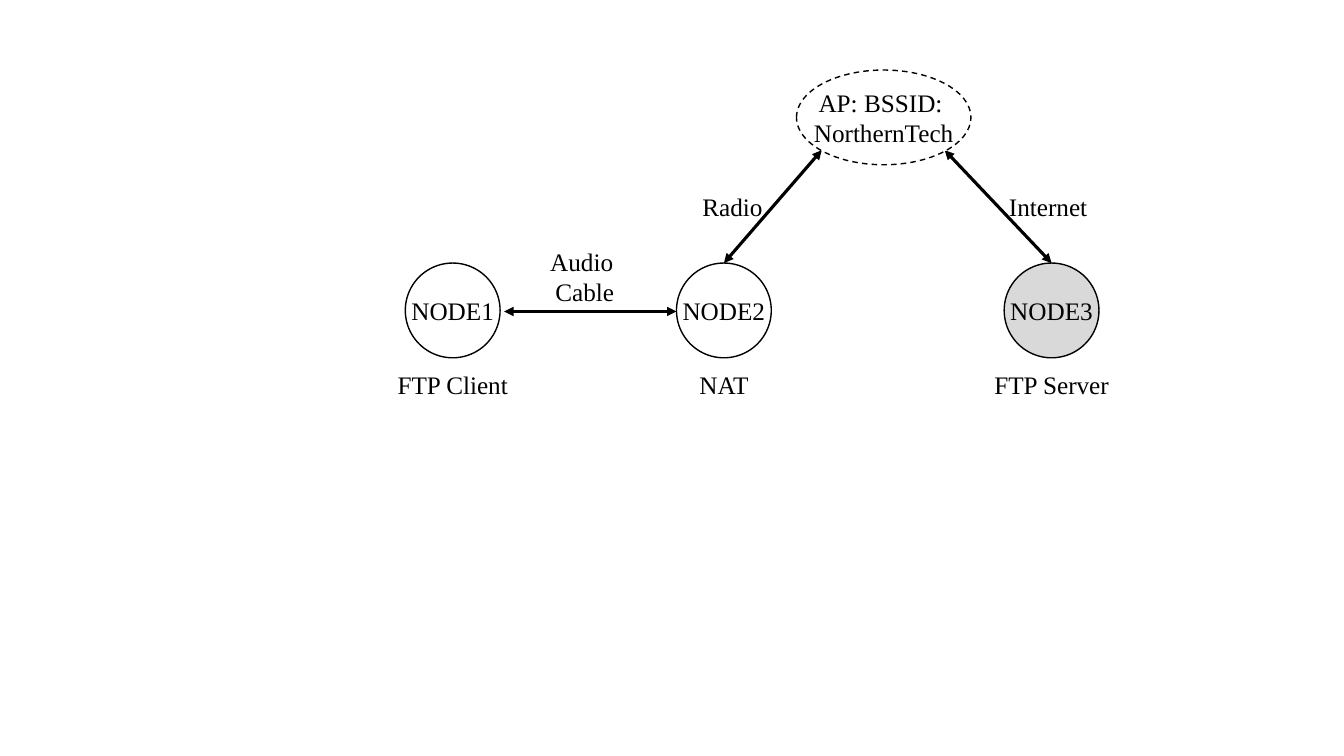
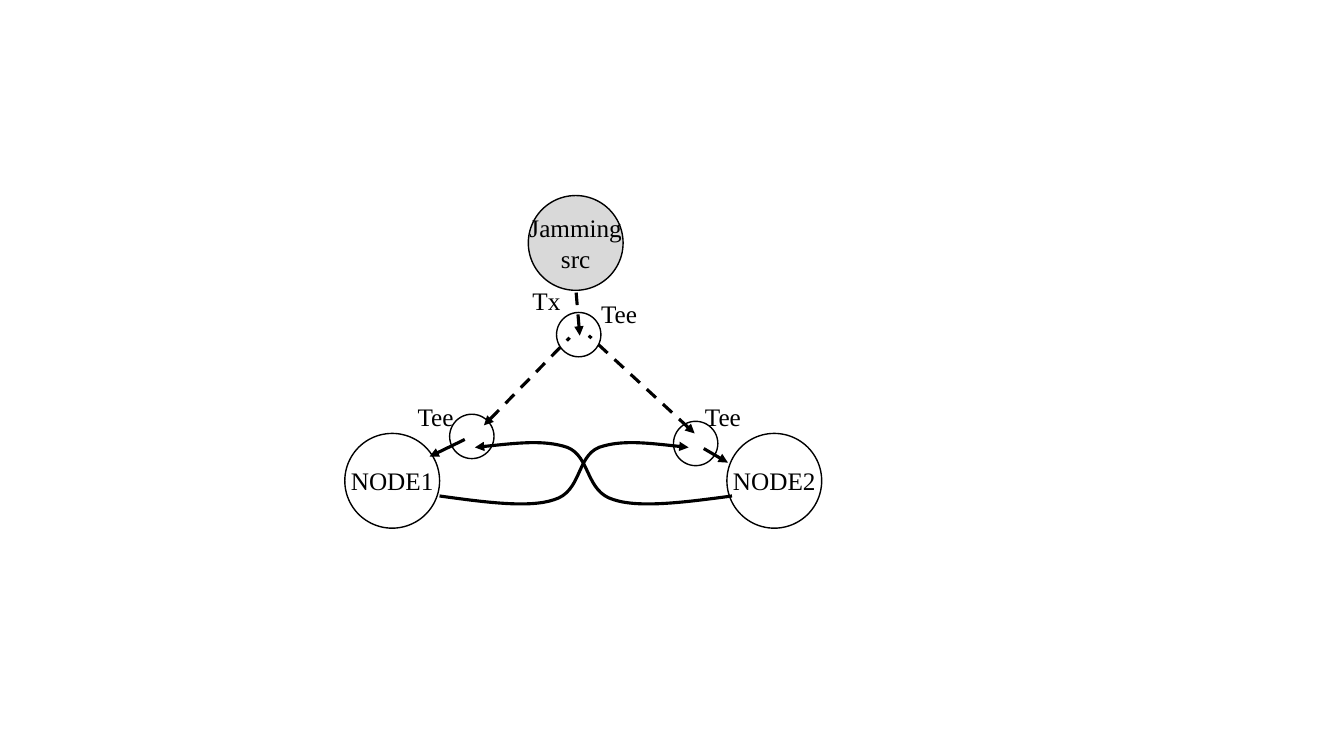
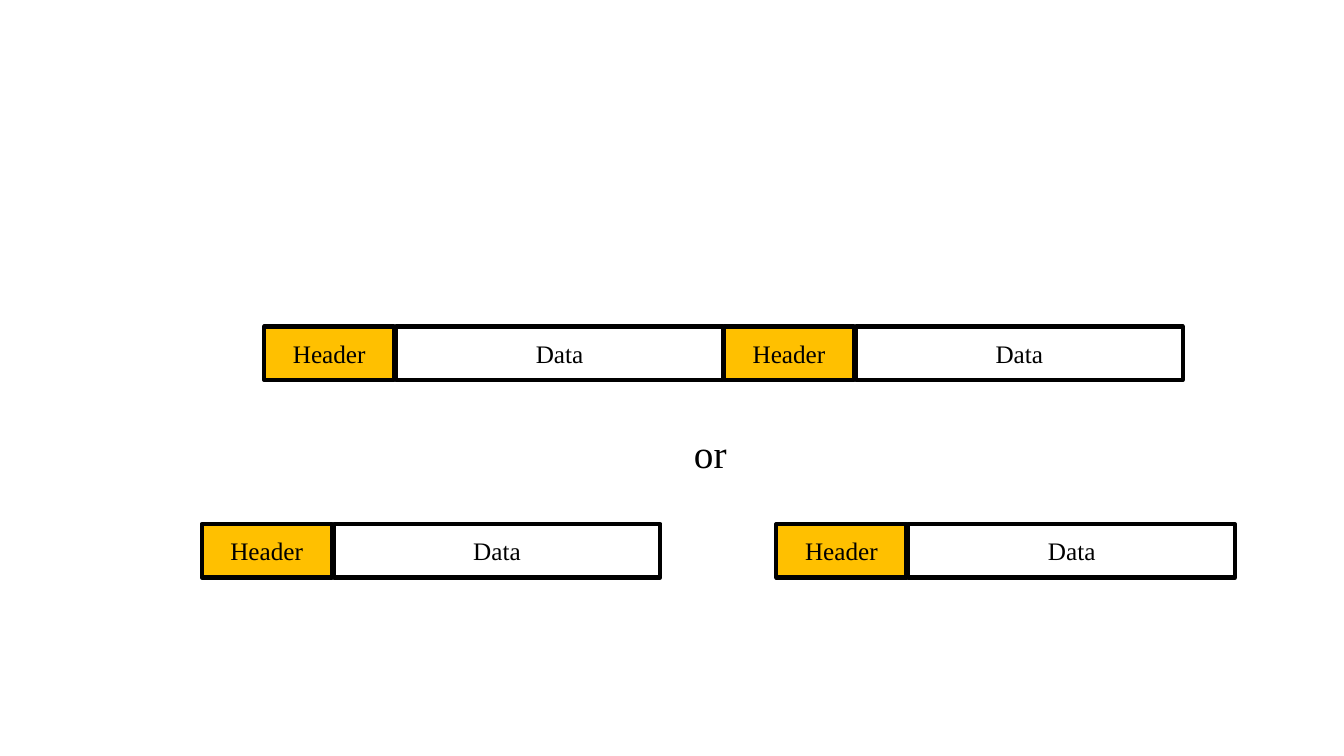
from dataclasses import dataclass
from itertools import product
from typing import Any

from lxml.etree import SubElement
from pptx import Presentation
from pptx.dml.color import RGBColor
from pptx.enum.dml import MSO_LINE
from pptx.enum.shapes import MSO_CONNECTOR, MSO_SHAPE
from pptx.enum.text import MSO_ANCHOR, PP_ALIGN
from pptx.oxml.ns import qn
from pptx.util import Inches, Pt

CELL = Inches(0.1)
COLORS = {"ink": "000000", "paper": "FFFFFF", "shade": "D9D9D9", "header": "FFC000"}
FRAME = {
    "margin_left": 0,
    "margin_right": 0,
    "margin_top": 0,
    "margin_bottom": 0,
    "word_wrap": False,
    "vertical_anchor": MSO_ANCHOR.MIDDLE,
}
FONT = {"name": "Times New Roman", "size": Pt(18)}
THIN = {"width": Pt(1)}
THIN_DASH = {**THIN, "dash_style": MSO_LINE.DASH}
BOLD = {"width": Pt(2.25)}
BOLD_DASH = {**BOLD, "dash_style": MSO_LINE.DASH}
HEAVY = {"width": Pt(3)}
NODE = 9.4
TEE = 4.4
CROSSING = [
    (0, 0.08), (0.14, 0.02), (0.27, -0.05), (0.36, 0.08), (0.45, 0.23),
    (0.43, 0.8), (0.54, 0.93), (0.64, 1.07), (0.82, 0.97), (1, 0.87),
]


def assign(target, values):
    for name, value in values.items():
        setattr(target, name, value)


def rgb(color):
    return RGBColor.from_string(COLORS[color])


def ink_line(shape, pen):
    shape.line.color.rgb = rgb("ink")
    assign(shape.line, pen)


def add_tips(shape, ends):
    outline = shape.element.spPr.find(qn("a:ln"))
    for end in ends:
        SubElement(outline, qn(f"a:{end}"), type="triangle")


def write(shape, text, size=FONT["size"]):
    frame = shape.text_frame
    assign(frame, FRAME)
    for number, line in enumerate(text.split("\n")):
        paragraph = frame.add_paragraph() if number else frame.paragraphs[0]
        paragraph.alignment = PP_ALIGN.CENTER
        run = paragraph.add_run()
        run.text = line
        assign(run.font, {**FONT, "size": size})
        run.font.color.rgb = rgb("ink")


@dataclass
class Region:
    slide: Any
    col: float
    row: float

    def point(self, col, row):
        return int(CELL * (self.col + col)), int(CELL * (self.row + row))

    def box(self, col, row, cols, rows):
        corner = self.point(col - cols / 2, row - rows / 2)
        return *corner, int(CELL * cols), int(CELL * rows)

    def shape(self, kind, center, size, fill="paper", pen=THIN, text=""):
        shape = self.slide.shapes.add_shape(kind, *self.box(*center, *size))
        shape.shadow.inherit = False
        if fill:
            shape.fill.solid()
            shape.fill.fore_color.rgb = rgb(fill)
        else:
            shape.fill.background()
        ink_line(shape, pen)
        if text:
            write(shape, text)

    def node(self, center, text, fill="paper"):
        self.shape(MSO_SHAPE.OVAL, center, (NODE, NODE), fill, text=text)

    def tee(self, center):
        self.shape(MSO_SHAPE.OVAL, center, (TEE, TEE), None)

    def label(self, center, cols, text, size=FONT["size"]):
        rows = 1 + 0.17 * size.pt * len(text.split("\n"))
        write(self.slide.shapes.add_textbox(*self.box(*center, cols, rows)), text, size)

    def arrow(self, tip, tail, pen=BOLD, ends=("headEnd",)):
        link = self.slide.shapes.add_connector(
            MSO_CONNECTOR.STRAIGHT, *self.point(*tip), *self.point(*tail))
        ink_line(link, pen)
        SubElement(link.element.spPr, qn("a:effectLst"))
        add_tips(link, ends)

    def cable(self, col, row, cols, rows):
        points = [self.point(col + cols * x, row + rows * y) for x, y in CROSSING]
        builder = self.slide.shapes.build_freeform(*points[0])
        builder.add_line_segments(points[1:], close=False)
        cable = builder.convert_to_shape()
        cable.shadow.inherit = False
        cable.fill.background()
        ink_line(cable, BOLD)
        add_tips(cable, ("headEnd",))
        route = next(cable.element.iter(qn("a:path")))
        segments = route.findall(qn("a:lnTo"))
        for first in range(0, len(segments), 3):
            curve = SubElement(route, qn("a:cubicBezTo"))
            for segment in segments[first:first + 3]:
                curve.append(segment[0])
                route.remove(segment)


def network(region):
    both = ("headEnd", "tailEnd")
    for col, name, role, fill in (
        (6.4, "NODE1", "FTP Client", "paper"),
        (65.8, "NODE3", "FTP Server", "shade"),
        (33.3, "NODE2", "NAT", "paper"),
    ):
        region.node((col, 23.9), name, fill)
        region.label((col, 31.2), 13.2, role)
    for start, end in (
        ((11.5, 24), (28.6, 24)),
        ((33.3, 19.2), (43, 8)),
        ((65.8, 19.2), (55.2, 8)),
    ):
        region.arrow(start, end, ends=both)
    region.shape(MSO_SHAPE.OVAL, (49.15, 4.75), (17.3, NODE), pen=THIN_DASH,
                 text="AP: BSSID: \nNorthernTech")
    region.label((34.15, 13.6), 8.1, "Radio")
    region.label((65.45, 13.6), 9.9, "Internet")
    region.label((19.5, 20.55), 9.2, "Audio \nCable")


def jamming(region):
    region.node((4.7, 28.3), "NODE1")
    region.node((42.6, 28.3), "NODE2")
    region.node((22.9, 4.7), "Jamming\nsrc", "shade")
    region.cable(12.9, 24.5, 25.5, 6.1)
    region.cable(34.1, 24.5, -24.7, 6.1)
    for tip, tail, pen in (
        ((13.8, 22.8), (22.3, 14.1), BOLD_DASH),
        ((34.7, 23.6), (24.2, 13.9), BOLD_DASH),
        ((23.3, 13.9), (22.9, 9.1), BOLD_DASH),
        ((8.4, 25.9), (11.9, 24.2), BOLD),
        ((38, 26.5), (35.6, 25.1), BOLD),
    ):
        region.arrow(tip, tail, pen)
    for center, caption in (
        ((12.6, 23.9), (9, 21.9)),
        ((34.8, 24.6), (37.5, 21.9)),
        ((23.2, 13.8), (27.2, 11.7)),
    ):
        region.tee(center)
        region.label(caption, 5.6, "Tee")
    region.label((20, 10.4), 4.8, "Tx")


def packet(region):
    for left, cols, name, fill in (
        (13.1, 32.4, "Data", "paper"),
        (0, 12.9, "Header", "header"),
    ):
        region.shape(MSO_SHAPE.RECTANGLE, (left + cols / 2, 2.65), (cols, 5.3),
                     fill, HEAVY, name)


def framing(region):
    for row, (start, pitch) in ((0, (6.2, 45.6)), (19.6, (0, 57))):
        for number in range(2):
            packet(Region(region.slide, region.col + start + number * pitch,
                          region.row + row))
    region.label((50.45, 12.55), 5.3, "or", Pt(28))


def main():
    deck = Presentation()
    assign(deck, {"slide_width": Inches(13.33), "slide_height": Inches(7.5)})
    for draw, col, row in (
        (network, 38.5, 6.9),
        (jamming, 34.2, 19.4),
        (framing, 20, 32.4),
    ):
        draw(Region(deck.slides.add_slide(deck.slide_layouts[6]), col, row))
    deck.save("out.pptx")


if __name__ == "__main__":
    main()
